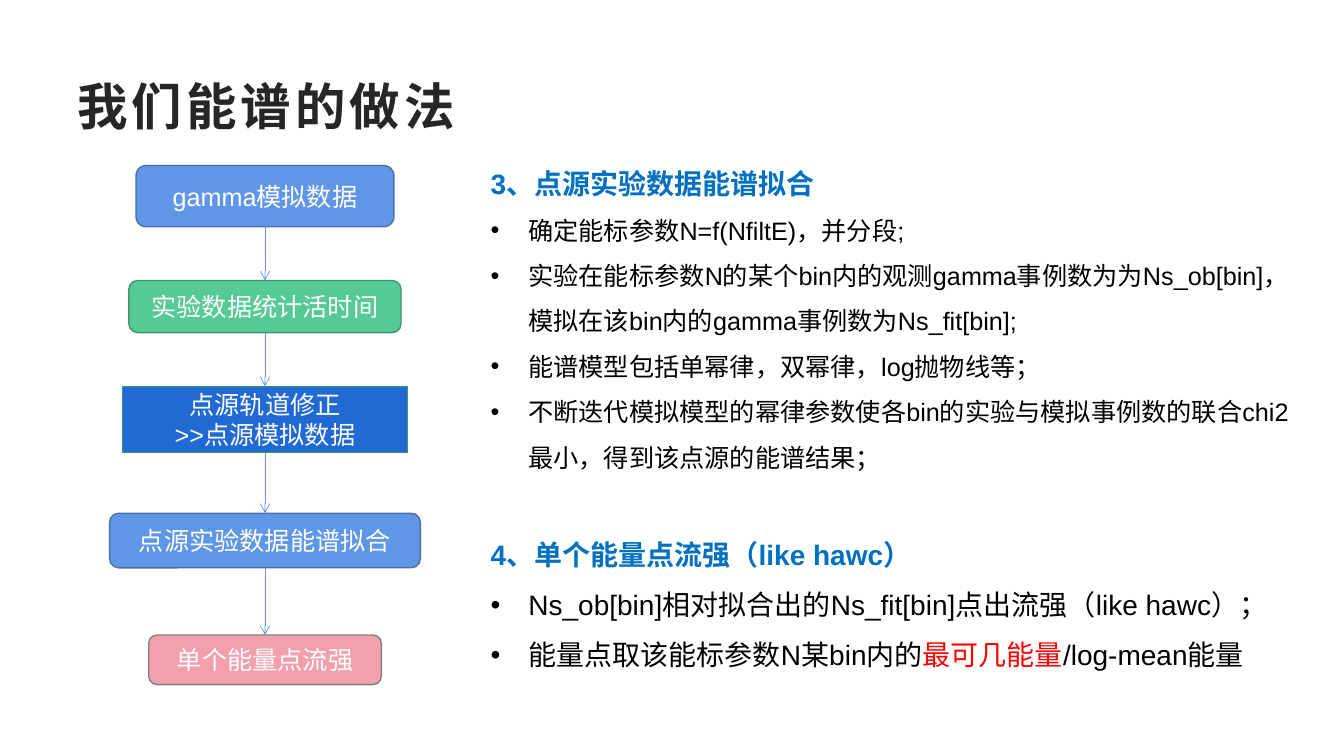
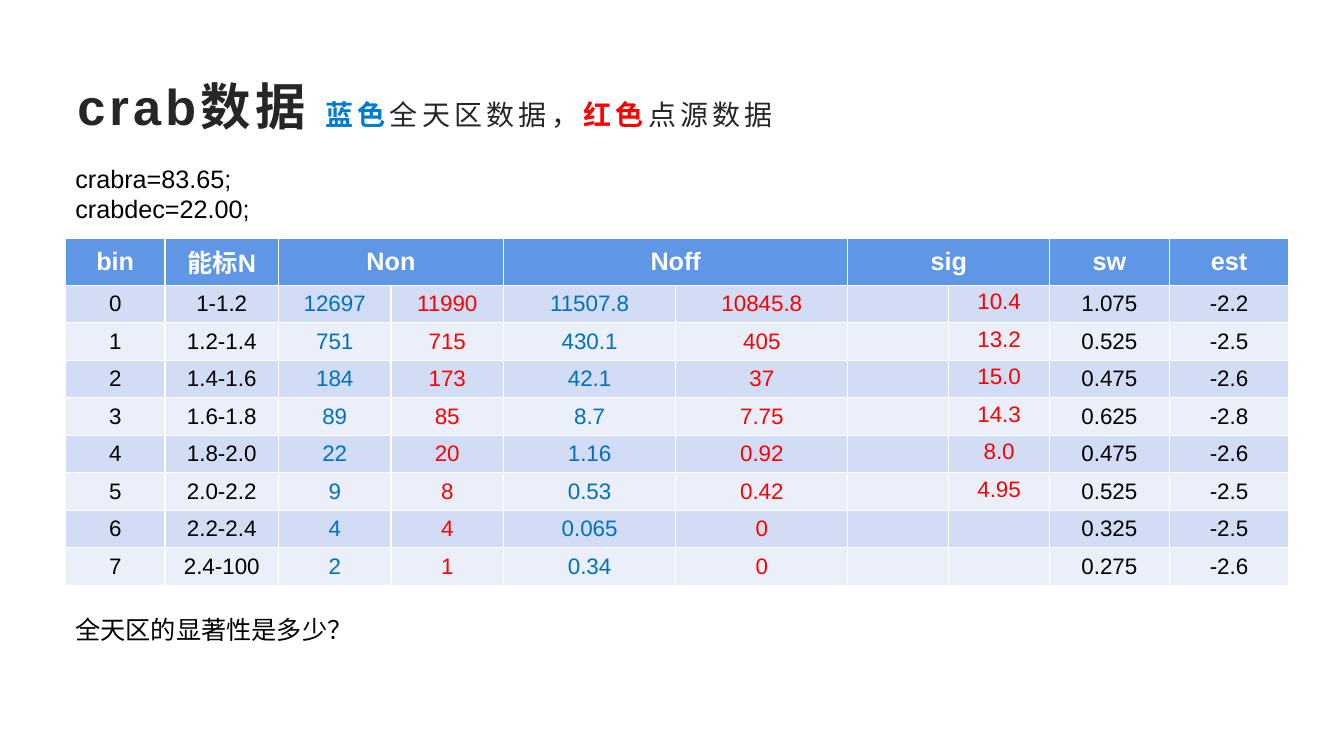
from lxml.etree import SubElement
from pptx import Presentation
from pptx.dml.color import RGBColor
from pptx.enum.shapes import MSO_CONNECTOR as Link, MSO_SHAPE as Preset
from pptx.enum.text import MSO_ANCHOR as Anchor, MSO_AUTO_SIZE as Fit, PP_ALIGN as Align
from pptx.oxml.ns import qn
from pptx.util import Inches, Pt

FONT = "Arial"
GRID_COLS, GRID_ROWS = 160, 90  # twelve grid units to the inch
COLORS = {
    "ink": "262626", "black": "000000", "white": "FFFFFF",
    "blue": "0070C0", "red": "FF0000",
    "sky": "6096E6", "sky_edge": "476FAA", "royal": "2169D3",
    "green": "56CA95", "green_edge": "40956E",
    "pink": "F49FAC", "grey": "808080",
    "band_dark": "D2DDF5", "band_light": "EAEFFA",
    "fade_from": "007BD3", "fade_to": "034373",
}


def units(count):
    return Inches(count / 12)


def rgb(name):
    return RGBColor.from_string(COLORS[name])


def add_text(paragraph, text, size=18, color="black", bold=False, spacing=None):
    """Append a run; a pair of colours makes a gradient."""
    run = paragraph.add_run()
    run.text = text
    font = run.font
    font.name, font.size, font.bold = FONT, Pt(size), bold
    if isinstance(color, tuple):
        font.fill.gradient()
        for stop, name in zip(font.fill.gradient_stops, color):
            stop.color.rgb = rgb(name)
    else:
        font.color.rgb = rgb(color)
    properties = run._r.get_or_add_rPr()
    properties.set("lang", "zh-CN")
    if spacing:
        properties.set("spc", str(spacing * 100))


def paragraphs(frame, count):
    """Yield the frame's first paragraph, then new ones."""
    for index in range(count):
        yield frame.add_paragraph() if index else frame.paragraphs[0]


class Deck:
    TITLE_AREA = (8, 8, 144, 9.2)
    TITLE_AND_BODY, TITLE_ONLY = 1, 5

    def __init__(self):
        self.prs = Presentation()
        self.prs.slide_width = units(GRID_COLS)
        self.prs.slide_height = units(GRID_ROWS)
        self.slide = None

    def new_slide(self, layout, title_parts):
        self.slide = self.prs.slides.add_slide(self.prs.slide_layouts[layout])
        heading = self.slide.shapes.title
        self.place(heading, *self.TITLE_AREA)
        frame = heading.text_frame
        frame.auto_size, frame.vertical_anchor = Fit.NONE, Anchor.MIDDLE
        paragraph = frame.paragraphs[0]
        paragraph.alignment = Align.LEFT
        for text, look in title_parts:
            add_text(paragraph, text, spacing=3, **look)

    @staticmethod
    def place(shape, left, top, width, height):
        shape.left, shape.top = units(left), units(top)
        shape.width, shape.height = units(width), units(height)

    def body(self, area, sections):
        """Fill the body placeholder with headed bullet lists."""
        holder = self.slide.placeholders[1]
        self.place(holder, *area)
        frame = holder.text_frame
        frame.auto_size, frame.vertical_anchor = Fit.NONE, Anchor.TOP
        lines = []
        for heading, size, items in sections:
            lines.append((True, [(heading, {"size": 20, "color": "blue", "bold": True})]))
            lines += [(False, [(text, {"size": size, "color": color})
                               for text, color in item]) for item in items]
        for index, (paragraph, (is_heading, parts)) in enumerate(
                zip(paragraphs(frame, len(lines)), lines)):
            paragraph.line_spacing = 1.5
            paragraph.space_before = Pt(34.5 if is_heading and index else 0)
            self.bullet(paragraph, None if is_heading else "•")
            for text, look in parts:
                add_text(paragraph, text, **look)

    @staticmethod
    def bullet(paragraph, mark):
        properties = paragraph._p.get_or_add_pPr()
        indent = units(4.5) if mark else 0
        properties.set("marL", str(indent))
        properties.set("indent", str(-indent))
        if mark:
            SubElement(properties, qn("a:buFont"), typeface=FONT)
            SubElement(properties, qn("a:buChar"), char=mark)
        else:
            SubElement(properties, qn("a:buNone"))

    def step(self, preset, center, top, width, height, fill, edge, lines):
        box = self.slide.shapes.add_shape(
            preset, units(center - width / 2), units(top), units(width), units(height))
        box.shadow.inherit = False
        box.fill.solid()
        box.fill.fore_color.rgb = rgb(fill)
        box.line.color.rgb, box.line.width = rgb(edge), Pt(1)
        frame = box.text_frame
        frame.vertical_anchor = Anchor.MIDDLE
        for paragraph, line in zip(paragraphs(frame, len(lines)), lines):
            paragraph.alignment = Align.CENTER
            add_text(paragraph, line, color="white")
        return box

    def arrow(self, upper, lower):
        """Link the bottom of one step to the top of the next."""
        link = self.slide.shapes.add_connector(Link.STRAIGHT, 0, 0, 0, 0)
        link.begin_connect(upper, 2)
        link.end_connect(lower, 0)
        link.line.color.rgb, link.line.width = rgb("sky"), Pt(0.5)
        SubElement(link.line._get_or_add_ln(), qn("a:tailEnd"), type="arrow")
        SubElement(link._element.spPr, qn("a:effectLst"))

    def note(self, area, lines):
        box = self.slide.shapes.add_textbox(*map(units, area))
        frame = box.text_frame
        frame.word_wrap = True
        for paragraph, line in zip(paragraphs(frame, len(lines)), lines):
            add_text(paragraph, line)

    def cell(self, cell, text, fill, **look):
        cell.fill.solid()
        cell.fill.fore_color.rgb = rgb(fill)
        cell.vertical_anchor = Anchor.MIDDLE
        paragraph = cell.text_frame.paragraphs[0]
        paragraph.alignment = Align.CENTER
        if text:
            add_text(paragraph, text, **look)
        else:
            SubElement(paragraph._p, qn("a:endParaRPr"), sz=str(look["size"] * 100))

    def table(self, left, top, widths, header, rows, colors, raised_column):
        head_height, row_height = 4.8, 4
        grid = self.slide.shapes.add_table(
            len(rows) + 1, len(widths), units(left), units(top), units(sum(widths)),
            units(head_height + row_height * len(rows))).table
        for column, width in zip(grid.columns, widths):
            column.width = units(width)
        for index, row in enumerate(grid.rows):
            row.height = units(row_height if index else head_height)
        # Header, with merged pairs
        start = 0
        for label, span in header:
            first = grid.cell(0, start)
            if span > 1:
                first.merge(grid.cell(0, start + span - 1))
            self.cell(first, label, "sky", color="white", bold=True)
            start += span
        # Banded data rows
        for r, values in enumerate(rows, 1):
            band = "band_dark" if r % 2 else "band_light"
            for c, (value, color) in enumerate(zip(values, colors)):
                cell = grid.cell(r, c)
                self.cell(cell, value, band, size=16, color=color)
                if c == raised_column and value:
                    cell.margin_left = cell.margin_right = cell.margin_top = Inches(0.01)


def method_slide(deck):
    deck.new_slide(deck.TITLE_AND_BODY, [
        ("我们能谱的做法", {"size": 36, "color": "ink", "bold": True})])

    # Flow on the left: preset, top, width, height, fill, edge, lines
    flow_center = 31.55
    flow = [
        (Preset.ROUNDED_RECTANGLE, 19.7, 30.7, 7.3, "sky", "sky_edge", ["gamma模拟数据"]),
        (Preset.ROUNDED_RECTANGLE, 33.4, 32.4, 6.2, "green", "green_edge",
         ["实验数据统计活时间"]),
        (Preset.RECTANGLE, 46, 34, 7.9, "royal", "green_edge",
         ["点源轨道修正", ">>点源模拟数据"]),
        (Preset.ROUNDED_RECTANGLE, 61.1, 37, 6.5, "sky", "sky_edge",
         ["点源实验数据能谱拟合"]),
        (Preset.ROUNDED_RECTANGLE, 75.6, 27.7, 5.9, "pink", "grey", ["单个能量点流强"]),
    ]
    steps = [deck.step(preset, flow_center, *rest) for preset, *rest in flow]
    for upper, lower in zip(steps, steps[1:]):
        deck.arrow(upper, lower)

    # Explanation on the right
    fitting = [
        "确定能标参数N=f(NfiltE)，并分段;",
        "实验在能标参数N的某个bin内的观测gamma事例数为为Ns_ob[bin]，"
        "模拟在该bin内的gamma事例数为Ns_fit[bin];",
        "能谱模型包括单幂律，双幂律，log抛物线等；",
        "不断迭代模拟模型的幂律参数使各bin的实验与模拟事例数的联合chi2最小，"
        "得到该点源的能谱结果；",
    ]
    flux = [
        [("Ns_ob[bin]相对拟合出的Ns_fit[bin]点出流强（like hawc）；", "black")],
        [("能量点取该能标参数N某bin内的", "black"), ("最可几能量", "red"),
         ("/log-mean能量", "black")],
    ]
    deck.body((57.2, 17.2, 99.8, 64.2), [
        ("3、点源实验数据能谱拟合", 18, [[(item, "black")] for item in fitting]),
        ("4、单个能量点流强（like hawc）", 20, flux),
    ])


def data_slide(deck):
    plain = {"size": 20, "color": "ink"}
    deck.new_slide(deck.TITLE_ONLY, [
        ("crab数据 ", {"size": 36, "color": "ink", "bold": True}),
        ("蓝色", {"size": 20, "color": ("fade_from", "fade_to"), "bold": True}),
        ("全天区数据，", plain),
        ("红色", {"size": 20, "color": "red", "bold": True}),
        ("点源数据", plain),
    ])

    # Counts per bin
    header = [("bin", 1), ("能标N", 1), ("Non", 2), ("Noff", 2), ("sig", 2),
              ("sw", 1), ("est", 1)]
    rows = [
        ("0", "1-1.2", "12697", "11990", "11507.8", "10845.8", "", "10.4", "1.075", "-2.2"),
        ("1", "1.2-1.4", "751", "715", "430.1", "405", "", "13.2", "0.525", "-2.5"),
        ("2", "1.4-1.6", "184", "173", "42.1", "37", "", "15.0", "0.475", "-2.6"),
        ("3", "1.6-1.8", "89", "85", "8.7", "7.75", "", "14.3", "0.625", "-2.8"),
        ("4", "1.8-2.0", "22", "20", "1.16", "0.92", "", "8.0", "0.475", "-2.6"),
        ("5", "2.0-2.2", "9", "8", "0.53", "0.42", "", "4.95", "0.525", "-2.5"),
        ("6", "2.2-2.4", "4", "4", "0.065", "0", "", "", "0.325", "-2.5"),
        ("7", "2.4-100", "2", "1", "0.34", "0", "", "", "0.275", "-2.6"),
    ]
    widths = [11.85, 13.5] + [13.4] * 2 + [20.5] * 2 + [12] * 2 + [14.25] * 2
    colors = ["black"] * 2 + ["blue", "red"] * 3 + ["black"] * 2
    deck.table(7.8, 28.4, widths, header, rows, colors, raised_column=7)

    # Source position and open question
    deck.note((7.8, 18.8, 42.2, 8.5), ["crabra=83.65;", "crabdec=22.00;"])
    deck.note((7.8, 72.5, 51.1, 4.8), ["全天区的显著性是多少？"])


def main():
    deck = Deck()
    method_slide(deck)
    data_slide(deck)
    deck.prs.save("out.pptx")


if __name__ == "__main__":
    main()
